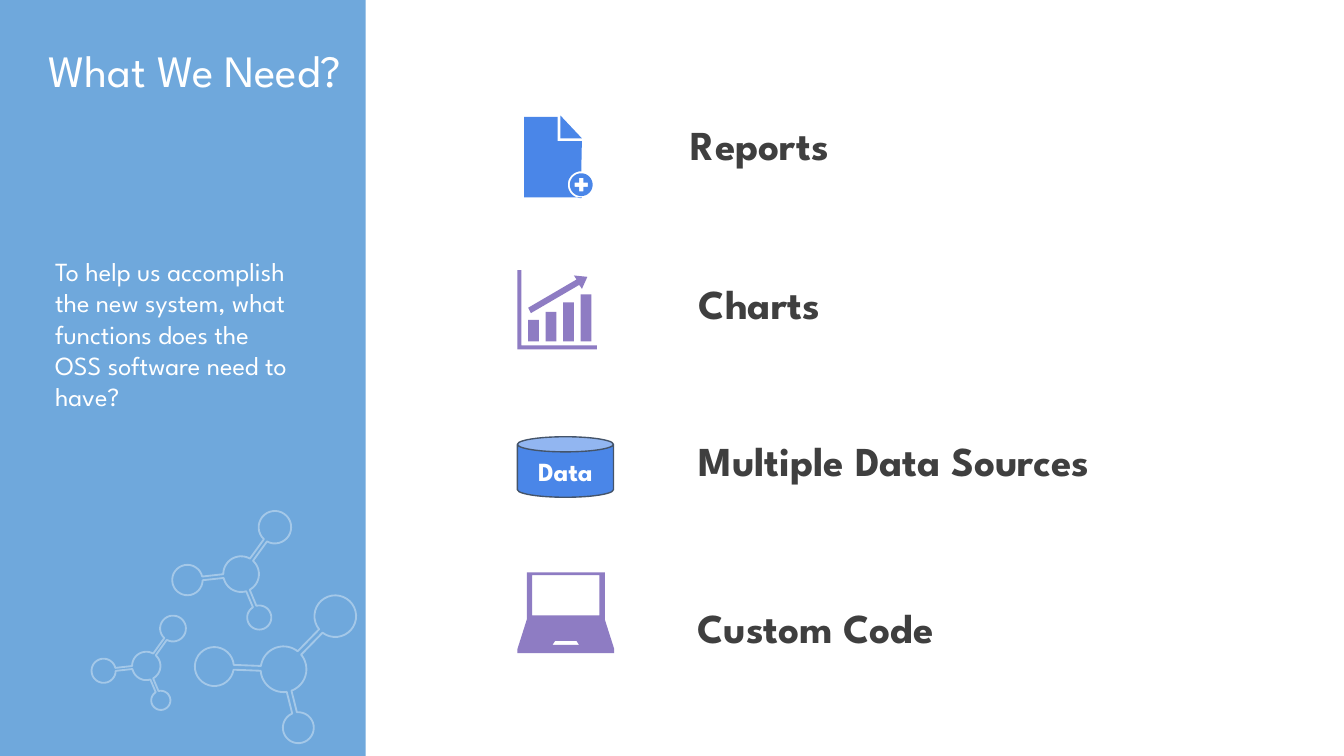
from math import asin, atan2, cos, radians, sin, pi

from lxml.etree import SubElement
from pptx import Presentation
from pptx.dml.color import RGBColor
from pptx.enum.shapes import MSO_SHAPE
from pptx.enum.text import MSO_ANCHOR, PP_ALIGN
from pptx.oxml.ns import qn
from pptx.util import Inches, Pt

# The grid has cells of a tenth of an inch.
COLUMNS, ROWS = 100, 56.25
CELL = Inches(0.1)
COLORS = {
    "panel": "6FA8DC",
    "white": "FFFFFF",
    "label": "3F3F3F",
    "blue": "4A86E8",
    "purple": "8E7CC3",
    "edge": "44546A",
}


def cells(*lengths):
    return [round(length * CELL) for length in lengths]


def box(left, top, right, bottom):
    return [(left, top), (right, top), (right, bottom), (left, bottom)]


def arc(center, radius, start, end, steps=32):
    angles = [start + (end - start) * i / steps for i in range(steps + 1)]
    return [(center[0] + radius * cos(a), center[1] + radius * sin(a)) for a in angles]


def plus(x, y, reach, half):
    """Corners of a plus sign centred at x, y."""
    quarter = [(-half, -reach), (half, -reach), (half, -half)]
    corners = []
    for _ in range(4):
        corners += [(x + dx, y + dy) for dx, dy in quarter]
        quarter = [(-dy, dx) for dx, dy in quarter]
    return corners


def molecule_outline(left, top, scale):
    """One closed line round a hub and three atoms joined to it by bonds."""
    hub, hub_radius, bond = (6.6, 5.5), 1.7, 0.18
    atoms = [((10.45, 1.55), 1.55), ((7.7, 9.85), 1.15), ((1.45, 5.3), 1.45)]
    angles = [atan2(y - hub[1], x - hub[0]) % (2 * pi) for (x, y), _ in atoms]
    angles[0] -= 2 * pi
    gap = asin(bond / hub_radius)
    outline = []
    for i, (center, radius) in enumerate(atoms):
        angle = angles[i]
        following = angles[i + 1] if i < 2 else angles[0] + 2 * pi
        atom_gap = asin(bond / radius)
        outline += arc(center, radius, angle + pi + atom_gap, angle + 3 * pi - atom_gap)
        outline += arc(hub, hub_radius, angle + gap, following - gap)
    return [(left + x * scale, top + y * scale) for x, y in outline]


class SlideBuilder:
    font = "League Spartan"

    def __init__(self, presentation):
        self.shapes = presentation.slides.add_slide(presentation.slide_layouts[6]).shapes

    def paint(self, shape, fill=None, line=None, width=1):
        shape.shadow.inherit = False
        if fill:
            shape.fill.solid()
            shape.fill.fore_color.rgb = RGBColor.from_string(COLORS[fill])
        else:
            shape.fill.background()
        if line:
            shape.line.color.rgb = RGBColor.from_string(COLORS[line])
            shape.line.width = Pt(width)
        else:
            shape.line.fill.background()
        return shape

    def preset(self, kind, area, **style):
        return self.paint(self.shapes.add_shape(kind, *cells(*area)), **style)

    def outline(self, *contours, **style):
        """Draw closed contours as one shape; inner contours are holes."""
        builder = self.shapes.build_freeform(*cells(*contours[0][0]))
        for i, contour in enumerate(contours):
            if i:
                builder.move_to(*cells(*contour[0]))
            builder.add_line_segments([cells(*point) for point in contour[1:]], close=True)
        return self.paint(builder.convert_to_shape(), **style)

    def molecule(self, left, top, scale, rotation):
        shape = self.outline(molecule_outline(left, top, scale), line="white")
        shape.rotation = rotation
        color = shape.line._ln.find(".//" + qn("a:srgbClr"))
        SubElement(color, qn("a:alpha")).set("val", "36000")

    def fill_text(self, shape, words, size, color, bold=False, insets=(0.7, 0.4, 0.9, 0.4)):
        frame = shape.text_frame
        frame.word_wrap = True
        (frame.margin_left, frame.margin_top,
         frame.margin_right, frame.margin_bottom) = cells(*insets)
        frame.text = words
        font = frame.paragraphs[0].runs[0].font
        font.name, font.size, font.bold = self.font, Pt(size), bold
        font.color.rgb = RGBColor.from_string(COLORS[color])
        return frame

    def text(self, area, words, size, color, **style):
        textbox = self.shapes.add_textbox(*cells(*area))
        frame = self.fill_text(textbox, words, size, color, **style)
        frame.vertical_anchor = MSO_ANCHOR.TOP

    def report_icon(self):
        badge = (43.25, 13.75)
        page = [(39, 8.7), (41.5, 8.7), (41.5, 10.5), (43.3, 10.5)]
        page += arc(badge, 1, radians(270), radians(90)) + [(43.3, 14.7), (39, 14.7)]
        fold = [(41.7, 8.6), (43.3, 10.3), (41.7, 10.3)]
        self.outline(page, fold, arc(badge, 0.85, 0, 2 * pi), plus(*badge, 0.5, 0.16),
                     fill="blue")

    def chart_icon(self):
        bars = [box(39.3 + 1.3 * i, top, 40.1 + 1.3 * i, 25.4)
                for i, top in enumerate((23.8, 23.2, 22.5, 21.9))]
        trend = [(42.7, 20.5), (43.7, 20.6), (43.3, 21.5), (43.1, 21.2),
                 (39.5, 23.3), (39.3, 22.9), (42.9, 20.8)]
        axes = [(38.5, 20.1), (38.8, 20.1), (38.8, 25.7), (44.4, 25.7), (44.4, 26), (38.5, 26)]
        self.outline(axes, trend, *bars, fill="purple")

    def data_icon(self):
        can = self.preset(MSO_SHAPE.CAN, (38.5, 32.5, 7.15, 4.5),
                          fill="blue", line="edge", width=0.75)
        can.adjustments[0] = 0.25
        frame = self.fill_text(can, "Data", 14, "white", bold=True, insets=(1, 1, 1, 1))
        frame.vertical_anchor = MSO_ANCHOR.MIDDLE
        frame.paragraphs[0].alignment = PP_ALIGN.CENTER

    def laptop_icon(self):
        case = [(39.2, 42.6), (45, 42.6), (45, 46.1), (45.7, 48.3),
                (45.7, 48.6), (38.5, 48.6), (38.5, 48.3), (39.2, 46.1)]
        touchpad = [(41.3, 47.7), (42.9, 47.7), (43.1, 48), (41.1, 48)]
        self.outline(case, box(39.6, 42.8, 44.6, 45.8), touchpad, fill="purple")


def main():
    presentation = Presentation()
    presentation.slide_width, presentation.slide_height = cells(COLUMNS, ROWS)
    slide = SlideBuilder(presentation)

    slide.preset(MSO_SHAPE.RECTANGLE, (0, 0, 27.2, ROWS), fill="panel")
    for molecule in ((14.5, 44.3, 1, 0), (12.8, 38.5, 0.78, 351.5), (6.8, 46.2, 0.62, 351.3)):
        slide.molecule(*molecule)
    slide.text((3.5, 18.6, 19.1, 17.5),
               "To help us accomplish the new system, what functions does the "
               "OSS software need to have?", 14, "white", insets=(0.6, 0.4, 0.9, 0.4))
    slide.text((3, 3.2, 25.2, 12.1), "What We Need?", 24, "white", insets=(0.6, 0, 0.3, 0))

    needs = [
        ("Reports", 50.7, 8.5, slide.report_icon),
        ("Charts", 51.3, 20.3, slide.chart_icon),
        ("Multiple Data Sources", 51.3, 32, slide.data_icon),
        ("Custom Code", 51.2, 44.4, slide.laptop_icon),
    ]
    for need, left, top, draw_icon in needs:
        slide.text((left, top, 43.2, 3), need, 22, "label", bold=True)
        draw_icon()

    presentation.save("out.pptx")


if __name__ == "__main__":
    main()
